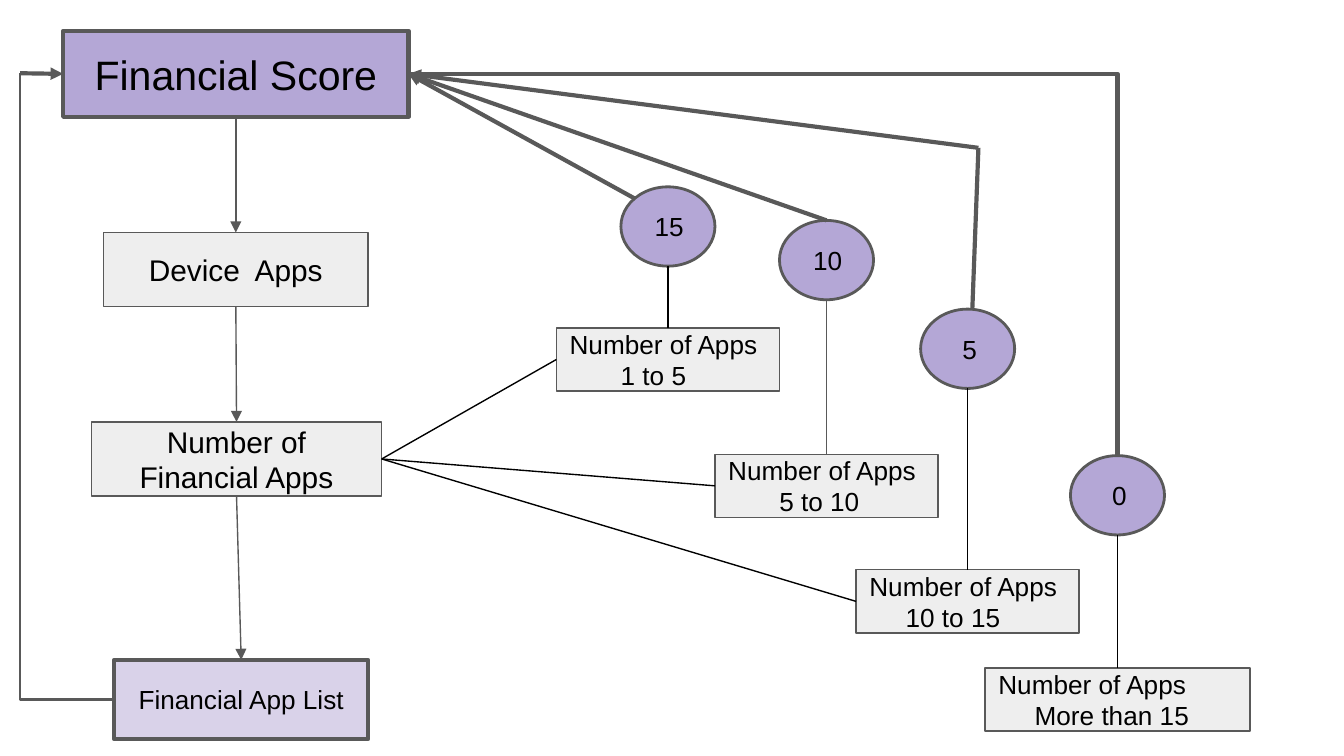
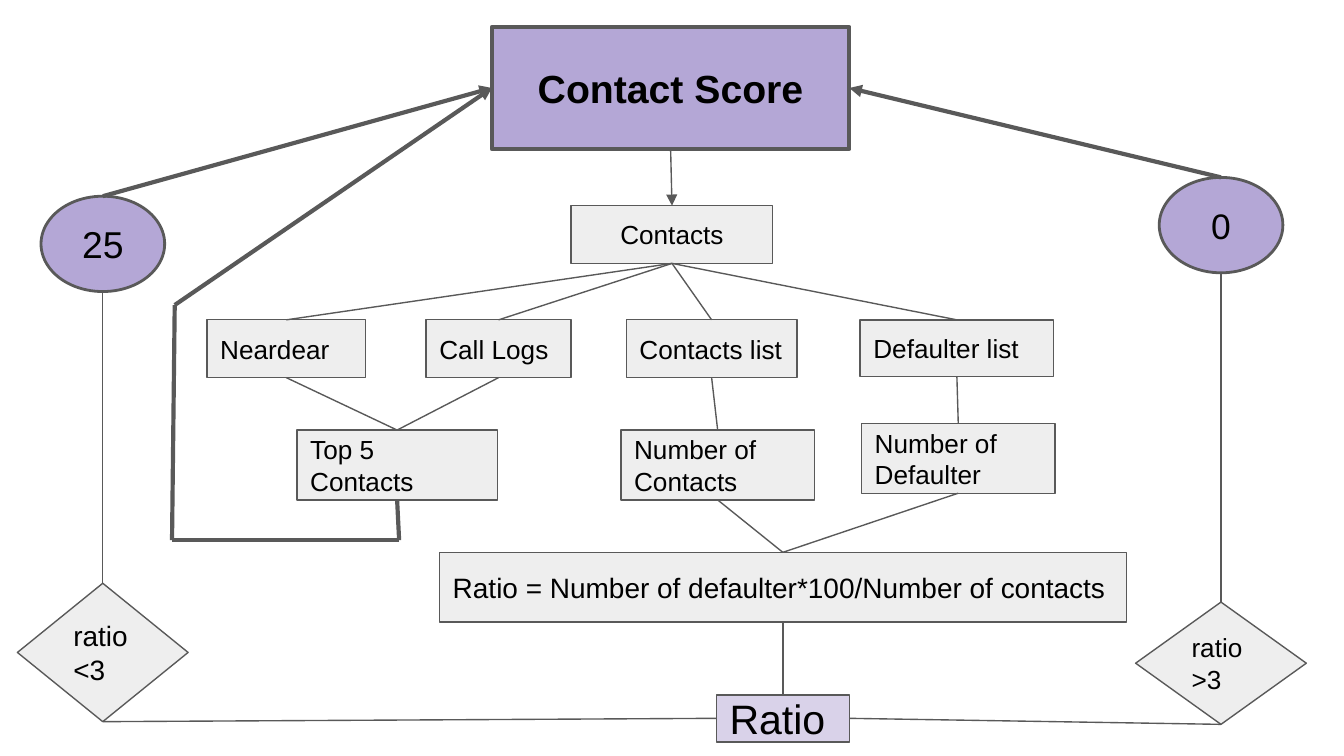
from collections import namedtuple
from itertools import pairwise

from pptx import Presentation
from pptx import util as u
from pptx.dml.color import RGBColor
from pptx.enum import shapes, text
from pptx.oxml.ns import qn
from pptx.oxml.xmlchemy import OxmlElement

COLORS = {
    "score": "B4A7D6",
    "result": "D9D2E9",
    "step": "EEEEEE",
    "edge": "595959",
    "ink": "000000",
}
FONT = "Arial"
COLUMNS, ROWS = 100, 56.25
CELL = u.Inches(0.1)
INSET = u.Inches(0.1)
THIN, MEDIUM, THICK = 0.75, 1.5, 2.25

RECTANGLE = shapes.MSO_SHAPE.RECTANGLE
ELLIPSE = shapes.MSO_SHAPE.OVAL
DIAMOND = shapes.MSO_SHAPE.DIAMOND
LEFT, CENTER = text.PP_ALIGN.LEFT, text.PP_ALIGN.CENTER

SITES = ["top", "left", "bottom", "right"]
SIDES = {
    "top": (0.5, 0),
    "left": (0, 0.5),
    "bottom": (0.5, 1),
    "right": (1, 0.5),
    "upper": (0.55, 0),
    "upper left": (0.15, 0.15),
}

Box = namedtuple("Box", "left top width height")
Tier = namedtuple("Tier", "score score_indent label label_indent left top width circle_top stem")

TIERS = [
    Tier("15", 0.05, "1 to 5", 0.38, 0, 10.5, 16.6, 0, "ink"),
    Tier("10", 0.05, "5 to 10", 0.38, 11.8, 19.9, 16.6, 2.5, "edge"),
    Tier("5", 0.11, "10 to 15", 0.27, 22.3, 28.5, 16.6, 9.1, "ink"),
    Tier("0", 0.11, "More than 15", 0.27, 31.9, 35.8, 19.7, 20, "ink"),
]


def color(name):
    return RGBColor.from_string(COLORS[name])


def spot(box, column, row):
    return int((box.left + column) * CELL), int((box.top + row) * CELL)


def add_node(slide, box, place, lines, size, fill="step", kind=RECTANGLE,
             weight=THIN, align=LEFT, bold=False, indents=(0, 0)):
    column, row, width, height = place
    shape = slide.shapes.add_shape(kind, *spot(box, column, row),
                                   int(width * CELL), int(height * CELL))
    shape.shadow.inherit = False
    shape.fill.solid()
    shape.fill.fore_color.rgb = color(fill)
    shape.line.color.rgb = color("edge")
    shape.line.width = u.Pt(weight)
    frame = shape.text_frame
    frame.word_wrap = True
    frame.vertical_anchor = text.MSO_ANCHOR.MIDDLE
    frame.margin_left = frame.margin_right = INSET
    frame.margin_top = frame.margin_bottom = INSET
    frame.text = lines
    for paragraph, indent in zip(frame.paragraphs, indents):
        paragraph.alignment = align
        if indent:
            paragraph._p.get_or_add_pPr().set("marL", str(u.Inches(indent)))
        for run in paragraph.runs:
            run.font.name = FONT
            run.font.size = u.Pt(size)
            run.font.bold = bold
            run.font.color.rgb = color("ink")
    return shape


def locate(end):
    target, side = end
    if isinstance(target, int):
        return end
    across, down = SIDES[side]
    return (int(target.left + across * target.width),
            int(target.top + down * target.height))


def glue(attach, end):
    target, side = end
    if isinstance(target, int) or side not in SITES:
        return
    if target.auto_shape_type != ELLIPSE or side == "top":
        attach(target, SITES.index(side))


def add_link(slide, start, end, weight=THIN, ink="edge", arrow=False, bent=False):
    kind = shapes.MSO_CONNECTOR.ELBOW if bent else shapes.MSO_CONNECTOR.STRAIGHT
    connector = slide.shapes.add_connector(kind, *locate(start), *locate(end))
    properties = connector._element.spPr
    if bent:
        properties.find(qn("a:prstGeom")).set("prst", "bentConnector2")
    else:
        glue(connector.begin_connect, start)
        glue(connector.end_connect, end)
    connector.line.color.rgb = color(ink)
    connector.line.width = u.Pt(weight)
    if arrow:
        head = OxmlElement("a:tailEnd")
        head.set("type", "triangle")
        properties.find(qn("a:ln")).append(head)
    properties.append(OxmlElement("a:effectLst"))


def build_app_steps(slide, box):
    score = add_node(slide, box, (4.7, 0, 25.7, 6.4), "Financial Score", 22,
                     "score", weight=THICK, align=CENTER)
    device = add_node(slide, box, (7.7, 15, 19.7, 5.5), "Device  Apps", 16, align=CENTER)
    count = add_node(slide, box, (6.8, 29.1, 21.6, 5.5), "Number of Financial Apps",
                     16, align=CENTER)
    app_list = add_node(slide, box, (8.5, 46.8, 18.9, 5.9), "Financial App List", 14,
                        "result", weight=THICK, align=CENTER)
    for upper, lower in pairwise([score, device, count, app_list]):
        add_link(slide, (upper, "bottom"), (lower, "top"), arrow=True)
    corner = spot(box, 1.5, 3.15)
    add_link(slide, (app_list, "left"), corner, MEDIUM, bent=True)
    add_link(slide, corner, (score, "left"), THICK, arrow=True)
    return score, count


def build_tier(slide, box, tier):
    range_box = add_node(slide, box, (tier.left, tier.top, tier.width, 4.7),
                         "Number of Apps\n" + tier.label, 14,
                         indents=(0, tier.label_indent))
    diameter = 7
    circle_left = tier.left + (tier.width - diameter) / 2
    circle = add_node(slide, box, (circle_left, tier.circle_top, diameter, 5.9),
                      tier.score, 14, "score", ELLIPSE, MEDIUM,
                      indents=(tier.score_indent,))
    add_link(slide, (range_box, "top"), (circle, "bottom"), ink=tier.stem)
    return range_box, circle


def build_tier_fan(slide, box, score, count):
    ranges, circles = zip(*(build_tier(slide, box, tier) for tier in TIERS))
    for range_box in ranges[:3]:
        add_link(slide, (count, "right"), (range_box, "left"), ink="ink")
    target = (score, "right")
    corner = spot(box, 31.4, -2.9)
    add_link(slide, target, (circles[3], "top"), THICK, bent=True)
    add_link(slide, (circles[2], "upper"), corner, THICK)
    for start in (corner, (circles[1], "top"), (circles[0], "upper left")):
        add_link(slide, start, target, THICK, arrow=True)


def build_contact_tree(slide, box):
    score = add_node(slide, box, (21.2, 0, 26.6, 9.1), "Contact Score", 21, "score",
                     weight=THICK, align=CENTER, bold=True)
    contacts = add_node(slide, box, (27.1, 13.3, 15, 4.3), "Contacts", 14, align=CENTER)
    add_link(slide, (score, "bottom"), (contacts, "top"), arrow=True)

    near, calls, listed, defaulters = [
        add_node(slide, box, (column, 21.8, width, height), name, 14)
        for name, column, width, height in [
            ("Neardear", 0, 11.8, 4.3),
            ("Call Logs", 16.3, 10.8, 4.3),
            ("Contacts list", 31.2, 12.7, 4.3),
            ("Defaulter list", 48.6, 14.4, 4.2),
        ]
    ]
    for source in (near, calls, listed, defaulters):
        add_link(slide, (contacts, "bottom"), (source, "top"))

    top_five, contact_count, defaulter_count = [
        add_node(slide, box, (column, row, width, 5.2), name, 14)
        for name, column, row, width in [
            ("Top 5 Contacts", 6.7, 30, 14.9),
            ("Number of\nContacts", 30.8, 30, 14.4),
            ("Number of\nDefaulter", 48.7, 29.5, 14.4),
        ]
    ]
    formula = add_node(slide, box, (17.3, 39.1, 51.1, 5.2),
                       "Ratio = Number of defaulter*100/Number of contacts", 15)
    ratio = add_node(slide, box, (37.9, 49.7, 9.9, 3.5), "Ratio", 22, "result")
    for upper, lower in [
        (near, top_five), (calls, top_five),
        (listed, contact_count), (defaulters, defaulter_count),
        (contact_count, formula), (defaulter_count, formula), (formula, ratio),
    ]:
        add_link(slide, (upper, "bottom"), (lower, "top"))

    route = [(top_five, "bottom"), spot(box, 14.3, 38.2), spot(box, -2.6, 38.2),
             spot(box, -2.4, 20.7), (score, "left")]
    for start, end in pairwise(route):
        add_link(slide, start, end, THICK, arrow=end is route[-1])
    return score, ratio


def build_verdict(slide, box, score, ratio, side, label, points, sizes, diamond_height):
    width, circle_width = box.width, 9.2
    diamond = add_node(slide, box, (0, box.height - diamond_height, width, diamond_height),
                       label, sizes[0], kind=DIAMOND)
    circle = add_node(slide, box, ((width - circle_width) / 2, 0, circle_width, 7.1),
                      points, sizes[1], "score", ELLIPSE, MEDIUM, CENTER)
    add_link(slide, (ratio, side), (diamond, "bottom"))
    add_link(slide, (diamond, "top"), (circle, "bottom"))
    add_link(slide, (circle, "top"), (score, side), THICK, arrow=True)


def build_financial_slide(slide):
    score, count = build_app_steps(slide, Box(0, 2.3, 30.4, 52.7))
    build_tier_fan(slide, Box(41.4, 13.9, 51.6, 40.5), score, count)


def build_contact_slide(slide):
    score, ratio = build_contact_tree(slide, Box(15.4, 2, 68.4, 53.2))
    build_verdict(slide, Box(1.3, 14.6, 12.7, 39.1), score, ratio, "left",
                  "ratio<3", "25", (15, 20), 10.3)
    build_verdict(slide, Box(84.5, 13.2, 12.7, 40.7), score, ratio, "right",
                  "ratio>3", "0", (14, 19), 9.1)


def main():
    presentation = Presentation()
    presentation.slide_width = int(COLUMNS * CELL)
    presentation.slide_height = int(ROWS * CELL)
    blank = presentation.slide_layouts[6]
    for build in (build_financial_slide, build_contact_slide):
        build(presentation.slides.add_slide(blank))
    presentation.save("out.pptx")


if __name__ == "__main__":
    main()
